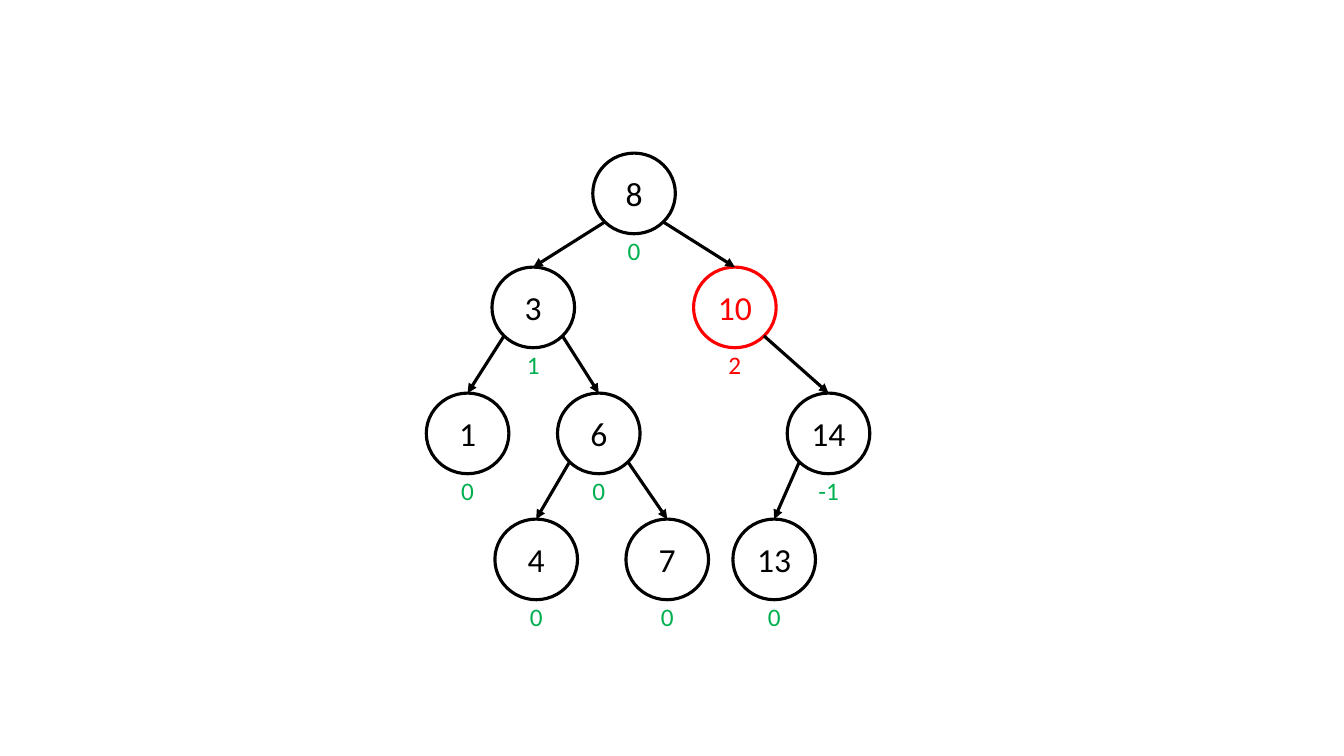
import math

from lxml import etree
from pptx import Presentation
from pptx.dml.color import RGBColor
from pptx.enum import shapes, text
from pptx.oxml.ns import qn
from pptx.util import Pt

BLACK, RED, GREEN = "000000", "FF0000", "00B050"
NODE_WIDTH, NODE_HEIGHT = 59, 57.6
LINE_WIDTH = 2.25
LEVEL_TOPS = [109.4, 190.8, 280.8, 370.8]
BALANCE_DROP, BALANCE_HEIGHT = 55, 29

# key: (level, centre x, parent key, balance factor)
NODES = {
    "8": (0, 452.9, None, "0"),
    "3": (1, 380.9, "8", "1"),
    "10": (1, 524.9, "8", "2"),
    "1": (2, 334, "3", "0"),
    "6": (2, 427.7, "3", "0"),
    "14": (2, 591.8, "10", "-1"),
    "13": (3, 553, "14", "0"),
    "4": (3, 383, "6", "0"),
    "7": (3, 476.6, "6", "0"),
}
UNBALANCED = "10"


def color(hex_code):
    return RGBColor.from_string(hex_code)


def write(shape, words, size, hex_code, anchor, wrap):
    frame = shape.text_frame
    frame.word_wrap = wrap
    frame.vertical_anchor = anchor
    para = frame.paragraphs[0]
    para.alignment = text.PP_ALIGN.CENTER
    span = para.add_run()
    span.text = words
    span.font.name = "Calibri"
    span.font.size = Pt(size)
    span.font.color.rgb = color(hex_code)


deck = Presentation()
deck.slide_width, deck.slide_height = Pt(960), Pt(540)
page = deck.slides.add_slide(deck.slide_layouts[6])

circles = {}
for key, (level, center, parent, balance) in NODES.items():
    top = LEVEL_TOPS[level]
    node_color = RED if key == UNBALANCED else BLACK
    circle = page.shapes.add_shape(
        shapes.MSO_SHAPE.OVAL, Pt(center - NODE_WIDTH / 2), Pt(top),
        Pt(NODE_WIDTH), Pt(NODE_HEIGHT))
    circle.shadow.inherit = False
    circle.fill.background()
    circle.line.color.rgb = color(node_color)
    circle.line.width = Pt(LINE_WIDTH)
    write(circle, key, 24, node_color, text.MSO_ANCHOR.MIDDLE, True)
    circles[key] = circle

    if parent:
        # Each edge leaves its parent at 45 degrees below the horizontal.
        parent_level, parent_center = NODES[parent][:2]
        side = math.copysign(1, center - parent_center)
        start_x = parent_center + side * NODE_WIDTH / 2 * math.sqrt(0.5)
        start_y = LEVEL_TOPS[parent_level] + NODE_HEIGHT / 2 * (1 + math.sqrt(0.5))
        edge = page.shapes.add_connector(
            shapes.MSO_CONNECTOR.STRAIGHT, Pt(start_x), Pt(start_y), Pt(center), Pt(top))
        edge.end_connect(circle, 0)
        edge.line.color.rgb = color(BLACK)
        edge.line.width = Pt(LINE_WIDTH)
        etree.SubElement(edge.line._get_or_add_ln(), qn("a:tailEnd"), type="triangle")
        etree.SubElement(edge._element.spPr, qn("a:effectLst"))

for key, (level, center, parent, balance) in NODES.items():
    width = 24 if len(balance) == 1 else 29.5
    box = page.shapes.add_textbox(
        Pt(center - width / 2), Pt(LEVEL_TOPS[level] + BALANCE_DROP),
        Pt(width), Pt(BALANCE_HEIGHT))
    box.text_frame.auto_size = text.MSO_AUTO_SIZE.SHAPE_TO_FIT_TEXT
    write(box, balance, 18, RED if key == UNBALANCED else GREEN,
          text.MSO_ANCHOR.TOP, False)

deck.save("out.pptx")
